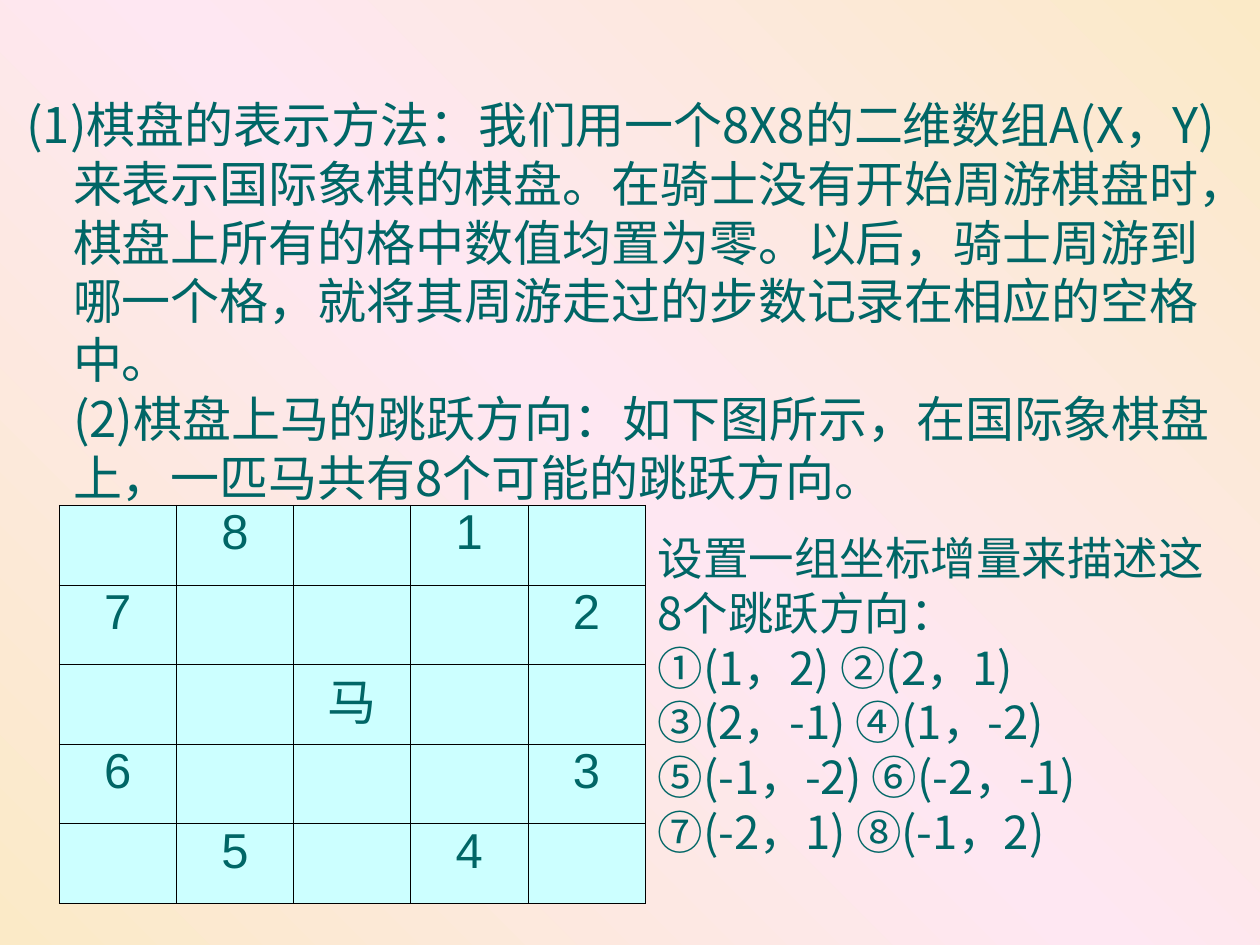
from dataclasses import dataclass

from lxml import etree
from pptx import Presentation
from pptx import util as u
from pptx.dml.color import RGBColor
from pptx.enum import text
from pptx.oxml.ns import qn


@dataclass(frozen=True)
class Theme:
    ink: str = "006666"
    cell: str = "CCFFFF"
    border: str = "000000"
    background: tuple = ((0, "FBEAC7"), (50, "FEE7F2"), (100, "FBEAC7"))
    cjk_font: str = "Noto Sans CJK SC"
    digit_font: str = "Arial"
    body_size: int = 28
    note_size: int = 26
    leading: float = 1.2


BODY = (
    "(1)棋盘的表示方法：我们用一个8X8的二维数组A(X，Y)来表示国际象棋的棋盘。"
    "在骑士没有开始周游棋盘时，棋盘上所有的格中数值均置为零。以后，"
    "骑士周游到哪一个格，就将其周游走过的步数记录在相应的空格中。\v"
    "(2)棋盘上马的跳跃方向：如下图所示，在国际象棋盘上，一匹马共有8个可能的跳跃方向。"
)
NOTE = (
    "设置一组坐标增量来描述这8个跳跃方向：\v"
    "①(1，2) ②(2，1)\v"
    "③(2，-1) ④(1，-2)\v"
    "⑤(-1，-2) ⑥(-2，-1)\v"
    "⑦(-2，1) ⑧(-1，2)"
)
BOARD_SIZE = 5
KNIGHT = (2, 2)
# Board cells (row, column) in the order of the numbered jumps
JUMPS = ((0, 3), (1, 4), (3, 4), (4, 3), (4, 1), (3, 0), (1, 0), (0, 1))


def add_colour(parent, colour):
    etree.SubElement(parent, qn("a:srgbClr"), val=colour)


class SlideBuilder:
    def __init__(self, slide, theme):
        self.slide = slide
        self.theme = theme

    def background(self):
        fill = self.slide.background.fill
        fill.gradient()
        fill.gradient_angle = 225
        stops = next(self.slide.background._cSld.iter(qn("a:gsLst")))
        for stop in list(stops):
            stops.remove(stop)
        for percent, colour in self.theme.background:
            stop = etree.SubElement(stops, qn("a:gs"), pos=str(percent * 1000))
            add_colour(stop, colour)

    def style(self, para, size, font):
        for span in para.runs:
            span.font.size = u.Pt(size)
            span.font.name = font
            span.font.color.rgb = RGBColor.from_string(self.theme.ink)
            east_asian = etree.SubElement(span.font._element, qn("a:ea"))
            east_asian.set("typeface", self.theme.cjk_font)

    def fill_frame(self, shape, words, size, margins):
        frame = shape.text_frame
        frame.word_wrap = True
        frame.auto_size = text.MSO_AUTO_SIZE.NONE
        frame.vertical_anchor = text.MSO_ANCHOR.TOP
        frame.margin_left = frame.margin_right = u.Inches(margins[0])
        frame.margin_top = u.Inches(margins[1])
        frame.margin_bottom = 0
        para = frame.paragraphs[0]
        para.text = words
        para.alignment = text.PP_ALIGN.LEFT
        para.space_before = u.Pt(0)
        para.line_spacing = u.Pt(size * self.theme.leading)
        self.style(para, size, self.theme.cjk_font)
        return para

    def body(self, words, left, top, width, height):
        box = self.slide.placeholders[1]
        box.left, box.top = u.Inches(left), u.Inches(top)
        box.width, box.height = u.Inches(width), u.Inches(height)
        para = self.fill_frame(box, words, self.theme.body_size, (0, 0.16))
        # Hanging indent for the numbered text
        properties = para._p.get_or_add_pPr()
        properties.set("marL", str(u.Inches(0.38)))
        properties.set("indent", str(u.Inches(-0.37)))

    def note(self, words, left, top, width, height):
        box = self.slide.shapes.add_textbox(
            u.Inches(left), u.Inches(top), u.Inches(width), u.Inches(height))
        self.fill_frame(box, words, self.theme.note_size, (0.1, 0.08))

    def cell_border(self, cell):
        properties = cell._tc.get_or_add_tcPr()
        for index, side in enumerate(("lnL", "lnR", "lnT", "lnB")):
            line = etree.Element(qn(f"a:{side}"), w=str(u.Pt(0.45)))
            add_colour(etree.SubElement(line, qn("a:solidFill")), self.theme.border)
            properties.insert(index, line)

    def board(self, labels, left, top, width, height):
        table = self.slide.shapes.add_table(
            BOARD_SIZE, BOARD_SIZE, u.Inches(left), u.Inches(top),
            u.Inches(width), u.Inches(height)).table
        table.first_row = table.horz_banding = False
        for row in range(BOARD_SIZE):
            for column in range(BOARD_SIZE):
                cell = table.cell(row, column)
                cell.fill.solid()
                cell.fill.fore_color.rgb = RGBColor.from_string(self.theme.cell)
                self.cell_border(cell)
                if (row, column) in labels:
                    para = cell.text_frame.paragraphs[0]
                    para.text = labels[row, column]
                    para.alignment = text.PP_ALIGN.CENTER
                    para.line_spacing = 0.87
                    self.style(para, self.theme.body_size, self.theme.digit_font)


def main():
    deck = Presentation()
    deck.slide_width, deck.slide_height = u.Inches(10), u.Inches(7.5)
    page = deck.slides.add_slide(deck.slide_layouts[0])
    title = page.shapes.title._element
    title.getparent().remove(title)

    builder = SlideBuilder(page, Theme())
    builder.background()

    # Explanation
    builder.body(BODY, 0.2, 0.59, 9.65, 6.91)

    # Knight on the board with its eight jumps
    labels = {place: str(number) for number, place in enumerate(JUMPS, 1)}
    labels[KNIGHT] = "马"
    builder.board(labels, 0.47, 4.01, 4.65, 3.16)

    # Coordinate steps
    builder.note(NOTE, 5.12, 4.13, 4.72, 2.7)

    deck.save("out.pptx")


if __name__ == "__main__":
    main()
